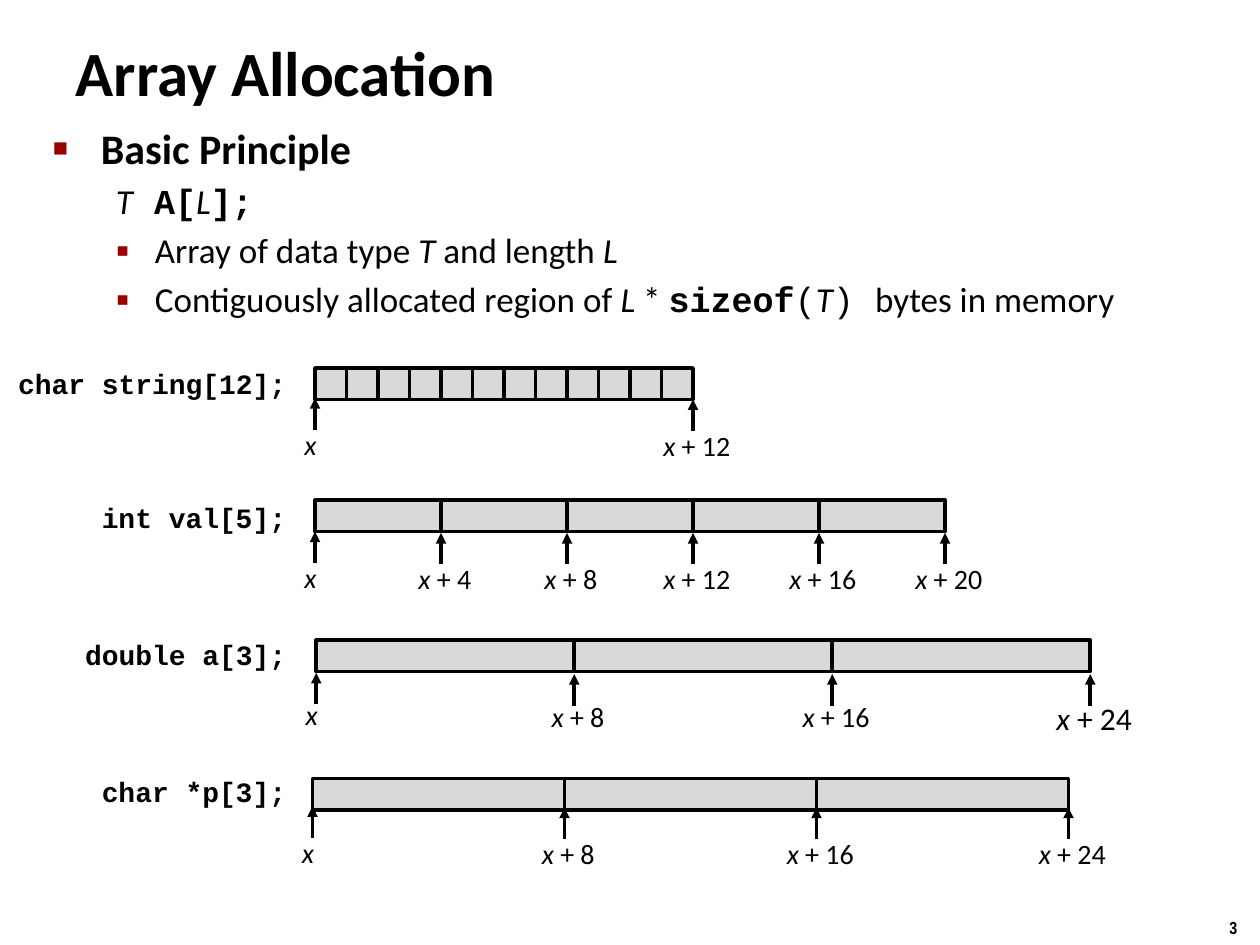
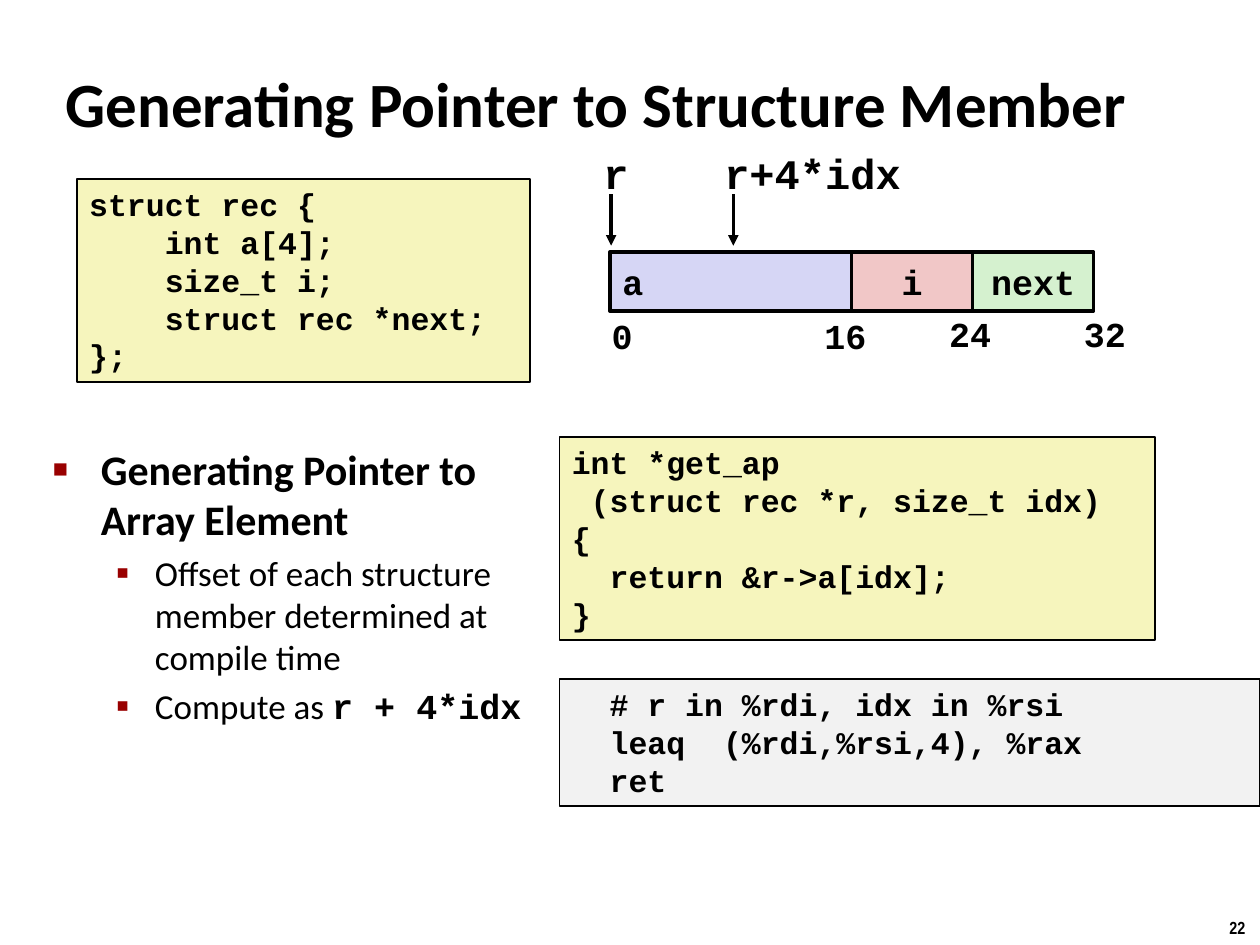
from dataclasses import dataclass

from lxml import etree
from pptx import Presentation
from pptx.dml.color import RGBColor
from pptx.enum.shapes import MSO_CONNECTOR, MSO_SHAPE
from pptx.enum.text import MSO_ANCHOR, MSO_AUTO_SIZE, PP_ALIGN
from pptx.oxml.ns import qn
from pptx.util import Inches, Pt

SLIDE_WIDTH, SLIDE_HEIGHT = Inches(10), Inches(7.5)
COLUMN, ROW = SLIDE_WIDTH // 40, SLIDE_HEIGHT // 30

BLACK = RGBColor(0x00, 0x00, 0x00)
BULLET_RED = RGBColor(0x99, 0x00, 0x00)
ELEMENT_GRAY = RGBColor(0xD9, 0xD9, 0xD9)
ASSEMBLY_GRAY = RGBColor(0xF2, 0xF2, 0xF2)
CODE_YELLOW = RGBColor(0xF6, 0xF5, 0xBD)
ARRAY_BLUE = RGBColor(0xD6, 0xD6, 0xF5)
INDEX_PINK = RGBColor(0xF1, 0xC7, 0xC7)
NEXT_GREEN = RGBColor(0xD5, 0xF1, 0xCF)

TEXT_FONT, CODE_FONT, NUMBER_FONT = "Calibri", "Courier New", "Arial Narrow"
LEFT, CENTER, RIGHT = PP_ALIGN.LEFT, PP_ALIGN.CENTER, PP_ALIGN.RIGHT
TOP, MIDDLE = MSO_ANCHOR.TOP, MSO_ANCHOR.MIDDLE
NO_AUTOFIT = MSO_AUTO_SIZE.NONE
RECTANGLE, STRAIGHT = MSO_SHAPE.RECTANGLE, MSO_CONNECTOR.STRAIGHT

BYTE_WIDTH = 0.48
RECORD_LEFT = 19.36


@dataclass
class ArrayRow:
    """One declared array: its bar, element size and marked addresses."""

    code: str
    code_top: float
    left: float
    top: float
    count: int
    element_bytes: int
    element_width: float
    mark_step: int
    arrow_drop: float
    label_rise: float = 0.28
    last_size: int = 16


ARRAYS = [
    ArrayRow("char string[12];", 11.44, 10, 11.68, 12, 1, 1, 12, 0),
    ArrayRow("int val[5];", 15.68, 10, 15.88, 5, 4, 4, 1, 0.04),
    ArrayRow("double a[3];", 20.04, 10.04, 20.32, 3, 8, 8.19, 1, 0.08, 0.4, 18),
    ArrayRow("char *p[3];", 24.4, 9.92, 24.72, 3, 8, 8, 1, -0.08),
]

PRINCIPLE = [
    (0, "■", [("Basic Principle", "b")]),
    (1, None, [("T", "i"), (" A[", "mb"), ("L", "i"), ("];", "mb")]),
    (1, "▪", [("Array of data type ", ""), ("T", "i"),
              (" and length ", ""), ("L", "i")]),
    (1, "▪", [("Contiguously allocated region of ", ""), ("L", "i"),
              (" * ", ""), ("sizeof", "mb"), ("(", "m"), ("T", "i"),
              (") ", "m"), ("bytes in memory", "")]),
]
POINTER = [
    (0, "■", [("Generating Pointer to Array Element", "b")]),
    (1, "▪", [("Offset of each structure member determined at compile time", "")]),
    (1, "▪", [("Compute as ", ""), ("r + 4*idx", "mb")]),
]

STRUCT_CODE = ["struct rec {", "    int a[4];", "    size_t i;",
               "    struct rec *next;", "};"]
GET_AP_CODE = ["int *get_ap", " (struct rec *r, size_t idx)", "{",
               "  return &r->a[idx];", "}"]
ASSEMBLY_CODE = ["  # r in %rdi, idx in %rsi", "  leaq  (%rdi,%rsi,4), %rax",
                 "  ret"]
MEMBERS = [("a", 0, 16, ARRAY_BLUE, LEFT), ("i", 16, 8, INDEX_PINK, CENTER),
           ("next", 24, 8, NEXT_GREEN, CENTER)]
OFFSETS = [("0", 19.76, 9.8), ("16", 26.84, 9.8),
           ("24", 30.8, 9.72), ("32", 35.08, 9.72)]
POINTERS = [("r", 18.76, 19.4), ("r+4*idx", 22.6, 23.28)]


def grid(left, top, width, height):
    """Turn columns and rows into slide lengths."""
    return (round(left * COLUMN), round(top * ROW),
            round(width * COLUMN), round(height * ROW))


def move(shape, box):
    """Put a placeholder on the grid."""
    shape.left, shape.top, shape.width, shape.height = grid(*box)


def add_run(paragraph, text, size, style="", font_name=TEXT_FONT):
    """Add a run styled by the letters b (bold), i (italic), m (monospaced)."""
    run = paragraph.add_run()
    run.text = text
    font = run.font
    font.name = CODE_FONT if "m" in style else font_name
    font.size = Pt(size)
    font.bold = "b" in style
    font.italic = "i" in style
    font.color.rgb = BLACK


def add_label(slide, box, runs, size, align=LEFT, wrap=False, font_name=TEXT_FONT):
    """Add a one-line text box."""
    frame = slide.shapes.add_textbox(*grid(*box)).text_frame
    frame.word_wrap = wrap
    paragraph = frame.paragraphs[0]
    paragraph.alignment = align
    for text, style in runs:
        add_run(paragraph, text, size, style, font_name)


def label_height(size):
    """Give the rows that one line of text takes."""
    return 0.4 + size * 0.07


def code_width(text, size):
    """Give the columns that a line of monospaced text takes."""
    return 0.8 + len(text) * size / 30


def add_code_label(slide, left, top, text, size, align=LEFT):
    """Add bold code in a text box that fits it."""
    box = left, top, code_width(text, size), label_height(size)
    add_label(slide, box, [(text, "mb")], size, align)


def add_box(slide, box, fill, line_width, lines=(), size=18,
            align=LEFT, anchor=TOP, wrap=True):
    """Add an outlined rectangle with optional code lines."""
    shape = slide.shapes.add_shape(RECTANGLE, *grid(*box))
    shape.shadow.inherit = False
    shape.fill.solid()
    shape.fill.fore_color.rgb = fill
    shape.line.color.rgb = BLACK
    shape.line.width = Pt(line_width)
    frame = shape.text_frame
    frame.word_wrap = wrap
    frame.vertical_anchor = anchor
    for number, line in enumerate(lines):
        paragraph = frame.add_paragraph() if number else frame.paragraphs[0]
        paragraph.alignment = align
        add_run(paragraph, line, size, "mb")


def add_arrow(slide, column, start_row, end_row):
    """Add a vertical arrow."""
    x, start, _, _ = grid(column, start_row, 0, 0)
    connector = slide.shapes.add_connector(
        STRAIGHT, x, start, x, round(end_row * ROW))
    connector.line.color.rgb = BLACK
    connector.line.width = Pt(2)
    line = connector.line._get_or_add_ln()
    etree.SubElement(line, qn("a:tailEnd"), type="triangle")
    etree.SubElement(connector._element.spPr, qn("a:effectLst"))


def set_bullet(paragraph, level, bullet):
    """Set the indent and the red bullet of a list level."""
    properties = paragraph._p.get_or_add_pPr()
    margin, indent = [(0.38, 0.38), (0.81, 0.31)][level]
    properties.set("marL", str(Inches(margin)))
    properties.set("indent", str(-Inches(indent)))
    if bullet is None:
        etree.SubElement(properties, qn("a:buNone"))
        return
    color = etree.SubElement(properties, qn("a:buClr"))
    etree.SubElement(color, qn("a:srgbClr"), val=str(BULLET_RED))
    etree.SubElement(properties, qn("a:buSzPct"), val=["60000", "110000"][level])
    etree.SubElement(properties, qn("a:buChar"), char=bullet)


def fill_list(placeholder, box, items):
    """Write the two-level bullet list in the body placeholder."""
    move(placeholder, box)
    frame = placeholder.text_frame
    frame.auto_size = NO_AUTOFIT
    for number, (level, bullet, runs) in enumerate(items):
        paragraph = frame.add_paragraph() if number else frame.paragraphs[0]
        paragraph.level = level
        set_bullet(paragraph, level, bullet)
        size = [24, 20][level]
        paragraph.space_before = Pt(size * 0.2 if number else 0)
        for text, style in runs:
            add_run(paragraph, text, size, style)


def add_content_slide(presentation, title, title_box, items, body_box, number):
    """Add a slide with its title, list and page number."""
    slide = presentation.slides.add_slide(presentation.slide_layouts[1])
    move(slide.shapes.title, title_box)
    frame = slide.shapes.title.text_frame
    frame.auto_size = NO_AUTOFIT
    frame.vertical_anchor = MIDDLE
    frame.paragraphs[0].alignment = LEFT
    add_run(frame.paragraphs[0], title, 36, "b")
    fill_list(slide.placeholders[1], body_box, items)
    add_label(slide, (38.64, 28.92, 1.36, 1.08), [(number, "b")], 10,
              font_name=NUMBER_FONT)
    return slide


def add_array(slide, array):
    """Draw an array bar with its declaration and address marks."""
    code_left = 9.48 - code_width(array.code, 16)
    add_code_label(slide, code_left, array.code_top, array.code, 16, RIGHT)
    for index in range(array.count):
        left = array.left + index * array.element_width
        add_box(slide, (left, array.top, array.element_width, 1), ELEMENT_GRAY, 2)
    for index in range(0, array.count + 1, array.mark_step):
        column = array.left + index * array.element_width
        tip = array.top + 1 + array.arrow_drop - (0 if index else 0.04)
        add_arrow(slide, column, tip + 1, tip)
        size = array.last_size if index == array.count else 16
        runs, center, width = [("x", "i")], column - 0.14, 1.72
        if index:
            runs = [("x ", "i"), (f"+ {index * array.element_bytes}", "")]
            center, width = column + 0.12, 4.32
        box = (center - width / 2, tip + 1 - array.label_rise,
               width, label_height(size))
        add_label(slide, box, runs, size, CENTER, wrap=True)


def add_record(slide):
    """Draw the record layout with its offsets and pointers."""
    for name, offset, size, fill, align in MEMBERS:
        box = RECORD_LEFT + offset * BYTE_WIDTH, 8, size * BYTE_WIDTH, 1.88
        add_box(slide, box, fill, 2, [name], 20, align, MIDDLE, wrap=False)
    for text, center, top in OFFSETS:
        add_code_label(slide, center - code_width(text, 20) / 2, top, text, 20)
    for text, left, column in POINTERS:
        add_code_label(slide, left, 4.48, text, 24)
        add_arrow(slide, column, 6.16, 7.8)


def main():
    """Build both slides and save them."""
    presentation = Presentation()
    presentation.slide_width, presentation.slide_height = SLIDE_WIDTH, SLIDE_HEIGHT

    slide = add_content_slide(presentation, "Array Allocation", (2, 1, 26, 2.52),
                              PRINCIPLE, (1.28, 3.68, 36.36, 7.08), "3")
    for array in ARRAYS:
        add_array(slide, array)

    slide = add_content_slide(presentation, "Generating Pointer to Structure Member",
                              (1.68, 2, 36.32, 2.52),
                              POINTER, (1.28, 13.88, 17.16, 12.52), "22")
    add_box(slide, (2.44, 5.68, 14.4, 6.44), CODE_YELLOW, 1, STRUCT_CODE)
    add_box(slide, (17.76, 13.88, 18.92, 6.44), CODE_YELLOW, 1, GET_AP_CODE)
    add_box(slide, (17.76, 21.56, 22.24, 4.04), ASSEMBLY_GRAY, 1, ASSEMBLY_CODE)
    add_record(slide)

    presentation.save("out.pptx")


if __name__ == "__main__":
    main()
